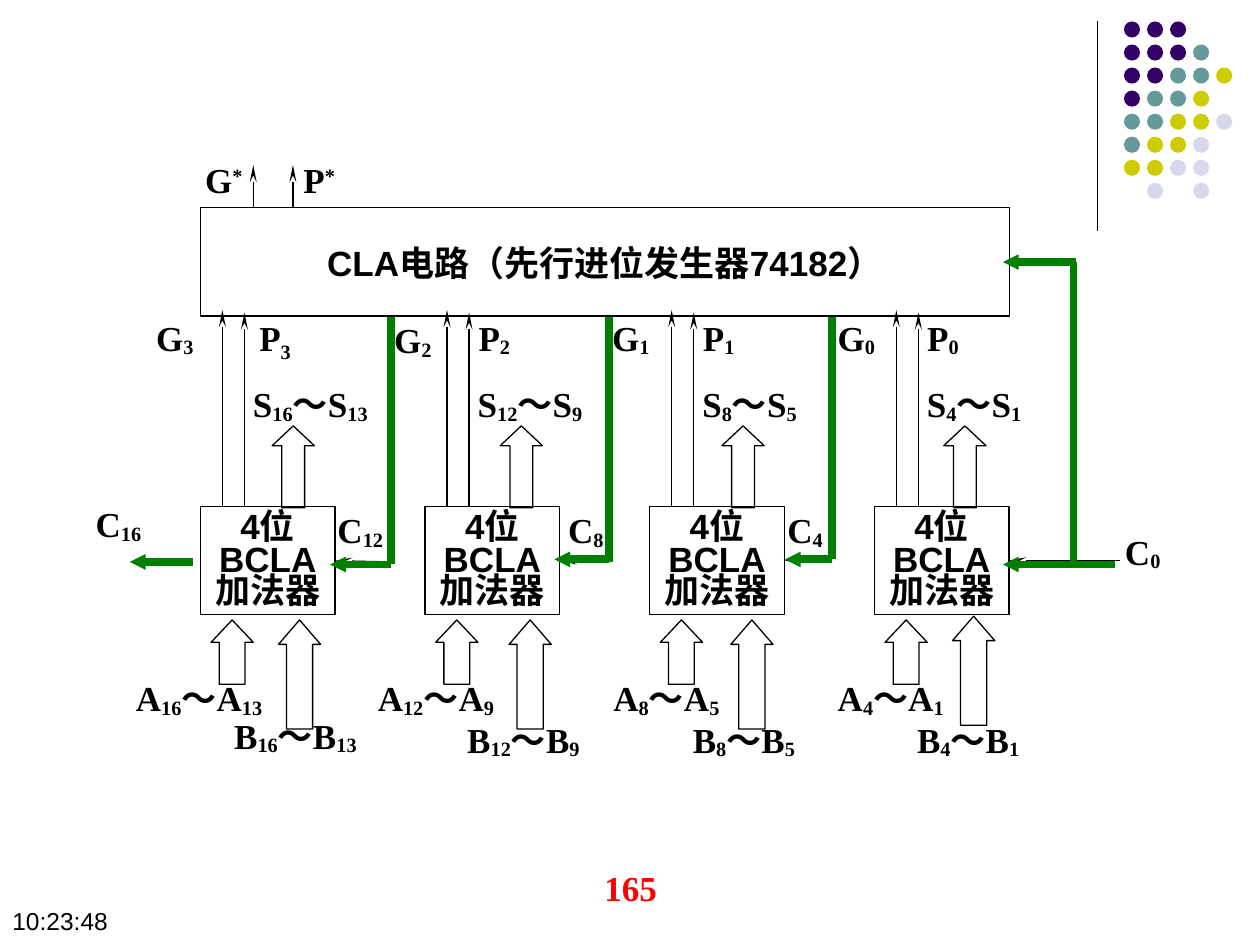
"""Build a slide of a 16-bit adder with group carry lookahead."""
from dataclasses import dataclass
from typing import Optional

from lxml import etree
from pptx import Presentation
from pptx.dml.color import RGBColor
from pptx.enum.shapes import MSO_CONNECTOR, MSO_SHAPE
from pptx.enum.text import MSO_ANCHOR, PP_ALIGN
from pptx.oxml.ns import qn
from pptx.util import Inches, Pt

STRAIGHT = MSO_CONNECTOR.STRAIGHT
RECTANGLE, OVAL, UP_ARROW = MSO_SHAPE.RECTANGLE, MSO_SHAPE.OVAL, MSO_SHAPE.UP_ARROW
MIDDLE = MSO_ANCHOR.MIDDLE
LEFT, CENTER = PP_ALIGN.LEFT, PP_ALIGN.CENTER
RIGHT_SIDE = 3
WIDTH, HEIGHT = Inches(10), Inches(7.5)
COLUMNS, ROWS = 100, 75
PITCH = 17.83
BLOCK_LEFT, BLOCK_TOP, BLOCK_WIDTH, BLOCK_HEIGHT = 15.9, 40.2, 10.7, 8.6
CLA_TOP = 16.5


@dataclass(frozen=True)
class Theme:
    """Colours, fonts and type sizes."""
    ink: str = "000000"
    carry: str = "008000"
    number: str = "FF0000"
    purple: str = "330066"
    teal: str = "669999"
    olive: str = "CCCC00"
    lilac: str = "D8D8EC"
    sans: str = "Arial"
    serif: str = "Times New Roman"
    body: float = 20
    small: float = 14
    thin: float = 0.75
    thick: float = 4.5


@dataclass(frozen=True)
class Head:
    """Arrowhead type, width and length."""
    kind: str
    width: str
    length: str


@dataclass(frozen=True)
class Stage:
    """One 4-bit adder: its bits and the columns of its labels and arrows."""
    high: int
    low: int
    group: int
    a_label: float
    b_label: float
    g_label: float
    p_label: float
    s_arrow: float
    b_arrow: float
    b_row: float = 56.5
    g_row: float = 24.6
    p_shift: int = -10
    b_arrow_row: float = 49.2


@dataclass(frozen=True)
class Carry:
    """A carry wire: its label and the places of its thin and thick lines."""
    name: str
    label: float
    column: float
    row: float
    tip: float
    thick_row: float
    end_row: float
    target: int


THEME = Theme()
STEALTH = Head("stealth", "sm", "lg")
TRIANGLE = Head("triangle", "sm", "sm")
STAGES = (
    Stage(16, 13, 3, 9.8, 17.6, 11.4, 19.6, 21.6, 22.1, b_row=56.2, p_shift=-25),
    Stage(12, 9, 2, 29, 36.1, 30.3, 37, 39.7, 40.4, g_row=24.8),
    Stage(8, 5, 1, 47.7, 54, 47.6, 54.8, 57.3, 58),
    Stage(4, 1, 0, 65.5, 71.8, 65.5, 72.6, 74.9, 75.6, b_arrow_row=48.9),
)
CARRIES = (
    Carry("C|12", 25.8, 31, 44.6, 26.2, 44.8, 44.8, 0),
    Carry("C|8", 44.1, 48.35, 44.6, 44, 44.4, 44.6, 1),
    Carry("C|4", 61.5, 66, 44.3, 62.3, 44.4, 44.4, 2),
)
DOT_ROWS = ("PPP", "PPPT", "PPTTY", "PTTY", "TTYYL", "TYYL", "YYLL", " L L")
DOT_COLOURS = {"P": THEME.purple, "T": THEME.teal, "Y": THEME.olive, "L": THEME.lilac}


def across(columns: float) -> int:
    """Turn grid columns into a length."""
    return round(WIDTH * columns / COLUMNS)


def down(rows: float) -> int:
    """Turn grid rows into a length."""
    return round(HEIGHT * rows / ROWS)


def add_span(para, text: str, *, font: str = THEME.serif, size: float = THEME.body,
             colour: str = THEME.ink, bold: bool = True, shift: int = 0) -> None:
    """Add one formatted run, raised or lowered by a percentage."""
    span = para.add_run()
    span.text = text
    span.font.name, span.font.size, span.font.bold = font, Pt(size), bold
    span.font.color.rgb = RGBColor.from_string(colour)
    if shift:
        span.font._element.set("baseline", str(shift * 1000))


def add_label(page, text: str, column: float, row: float, *, width: float = 16,
              height: float = 4.3, shift: int = -10, align=LEFT, **style) -> None:
    """Add a text box where every second part between bars is shifted."""
    box = page.shapes.add_textbox(across(column), down(row), across(width), down(height))
    box.text_frame.word_wrap = True
    para = box.text_frame.paragraphs[0]
    para.alignment = align
    for index, part in enumerate(text.split("|")):
        add_span(para, part, shift=shift if index % 2 else 0, **style)


def add_shape(page, kind, column: float, row: float, width: float, height: float,
              fill: Optional[str] = None):
    """Add a filled shape without outline, or an outlined shape without fill."""
    shape = page.shapes.add_shape(kind, across(column), down(row), across(width), down(height))
    shape.shadow.inherit = False
    if fill:
        shape.fill.solid()
        shape.fill.fore_color.rgb = RGBColor.from_string(fill)
        shape.line.fill.background()
    else:
        shape.fill.background()
        shape.line.color.rgb = RGBColor.from_string(THEME.ink)
        shape.line.width = Pt(THEME.thin)
    return shape


def add_block(page, column: float, row: float, width: float, lines: dict):
    """Add a rectangle whose lines of text map to their line spacing."""
    block = add_shape(page, RECTANGLE, column, row, width, BLOCK_HEIGHT)
    frame = block.text_frame
    frame.word_wrap, frame.vertical_anchor = False, MIDDLE
    for index, (text, spacing) in enumerate(lines.items()):
        para = frame.add_paragraph() if index else frame.paragraphs[0]
        para.alignment, para.line_spacing = CENTER, spacing
        add_span(para, text, font=THEME.sans)
    return block


def add_up_arrow(page, column: float, row: float, height: float, shaft: float, head: float,
                 width: float = 3.35) -> None:
    """Add an outlined block arrow pointing up."""
    arrow = add_shape(page, UP_ARROW, column, row, width, height)
    arrow.adjustments[0], arrow.adjustments[1] = shaft, head


def add_line(page, start: tuple, end: tuple, *, colour: str = THEME.ink,
             width: float = THEME.thin, head: Optional[Head] = None, target=None) -> None:
    """Add a straight line, joined to the right side of a target if given."""
    line = page.shapes.add_connector(STRAIGHT, across(start[0]), down(start[1]),
                                     across(end[0]), down(end[1]))
    line.line.color.rgb = RGBColor.from_string(colour)
    line.line.width = Pt(width)
    if head:
        etree.SubElement(line.line._get_or_add_ln(), qn("a:tailEnd"), type=head.kind,
                         w=head.width, len=head.length)
    etree.SubElement(line._element.spPr, qn("a:effectLst"))
    if target is not None:
        line.end_connect(target, RIGHT_SIDE)


def add_carry_line(page, start: tuple, end: tuple, head: Optional[Head] = None) -> None:
    """Add a thick green carry line."""
    add_line(page, start, end, colour=THEME.carry, width=THEME.thick, head=head)


def add_decoration(page) -> None:
    """Draw the dot pattern and the rule beside it."""
    add_line(page, (87.1, 1.7), (87.1, 18.3))
    for row, codes in enumerate(DOT_ROWS):
        for column, code in enumerate(codes):
            if code in DOT_COLOURS:
                add_shape(page, OVAL, 89.2 + 1.83 * column, 1.7 + 1.83 * row, 1.28, 1.28,
                          DOT_COLOURS[code])


def add_stage(page, index: int, stage: Stage):
    """Draw one adder with its arrows and labels."""
    left = BLOCK_LEFT + PITCH * index
    block = add_block(page, left, BLOCK_TOP, BLOCK_WIDTH, {"4位": 0.8, "BCLA": 0.8, "加法器": 0.7})
    for offset, tip in ((1.75, 24.6), (3.5, 24.8)):
        add_line(page, (left + offset, BLOCK_TOP), (left + offset, tip), head=STEALTH)
    add_up_arrow(page, stage.s_arrow, 33.8, 6.5, 0.54, 0.47)
    add_up_arrow(page, left + 0.85, 49.2, 5.1, 0.61, 0.53)
    add_up_arrow(page, stage.b_arrow, stage.b_arrow_row, 8.65, 0.62, 0.58)
    for letter, column, row in (("S", left + 3.2, 29.9), ("A", stage.a_label, 53.2),
                                ("B", stage.b_label, stage.b_row)):
        add_label(page, f"{letter}|{stage.high}|～{letter}|{stage.low}", column, row)
    add_label(page, f"G|{stage.group}", stage.g_label, stage.g_row, width=6.5)
    add_label(page, f"P|{stage.group}", stage.p_label, 24.6, width=6, shift=stage.p_shift)
    return block


def add_carries(page, lookahead, blocks: list) -> None:
    """Draw the carry wires between the lookahead circuit and the adders."""
    for carry in CARRIES:
        add_line(page, (carry.column, carry.row), (carry.tip, carry.row), head=STEALTH,
                 target=blocks[carry.target])
        add_carry_line(page, (carry.column, 25.2), (carry.column, carry.end_row))
        add_carry_line(page, (carry.column, carry.thick_row), (carry.tip, carry.thick_row), TRIANGLE)
        add_label(page, carry.name, carry.label, 39.9, width=8.9)
    for target, row, start, thick_row in ((lookahead, 20.8, 85.4, 20.8), (blocks[-1], 44.5, 88.9, 44.8)):
        add_line(page, (start, row), (80, row), head=STEALTH, target=target)
        add_carry_line(page, (min(start, 88.5), thick_row), (79.6, thick_row), TRIANGLE)
    add_carry_line(page, (85.2, 44.6), (85.2, 20.8))
    add_carry_line(page, (15.3, 44.6), (10.3, 44.6), TRIANGLE)
    add_label(page, "C|0", 88.3, 41.6, width=8.9)
    add_label(page, "C|16", 6.6, 39.4, width=6.2)


def main() -> None:
    """Build and save the slide."""
    deck = Presentation()
    deck.slide_width, deck.slide_height = WIDTH, HEIGHT
    page = deck.slides.add_slide(deck.slide_layouts[6])
    add_decoration(page)
    lookahead = add_block(page, BLOCK_LEFT, CLA_TOP, 64.2, {"CLA电路（先行进位发生器74182）": 1.0})
    blocks = [add_stage(page, index, stage) for index, stage in enumerate(STAGES)]
    add_carries(page, lookahead, blocks)
    for text, label, column in (("G|*", 15.3, 20.1), ("P|*", 23.1, 23.25)):
        add_line(page, (column, CLA_TOP), (column, 13.1), head=STEALTH)
        add_label(page, text, label, 12.1, width=5.5, shift=30)
    add_label(page, "165", 34.2, 68.3, width=31.7, height=5, align=CENTER, colour=THEME.number)
    add_label(page, "10:23:48", 0, 71.4, width=22.4, height=3.4, font=THEME.sans,
              size=THEME.small, bold=False)
    deck.save("out.pptx")


if __name__ == "__main__":
    main()
